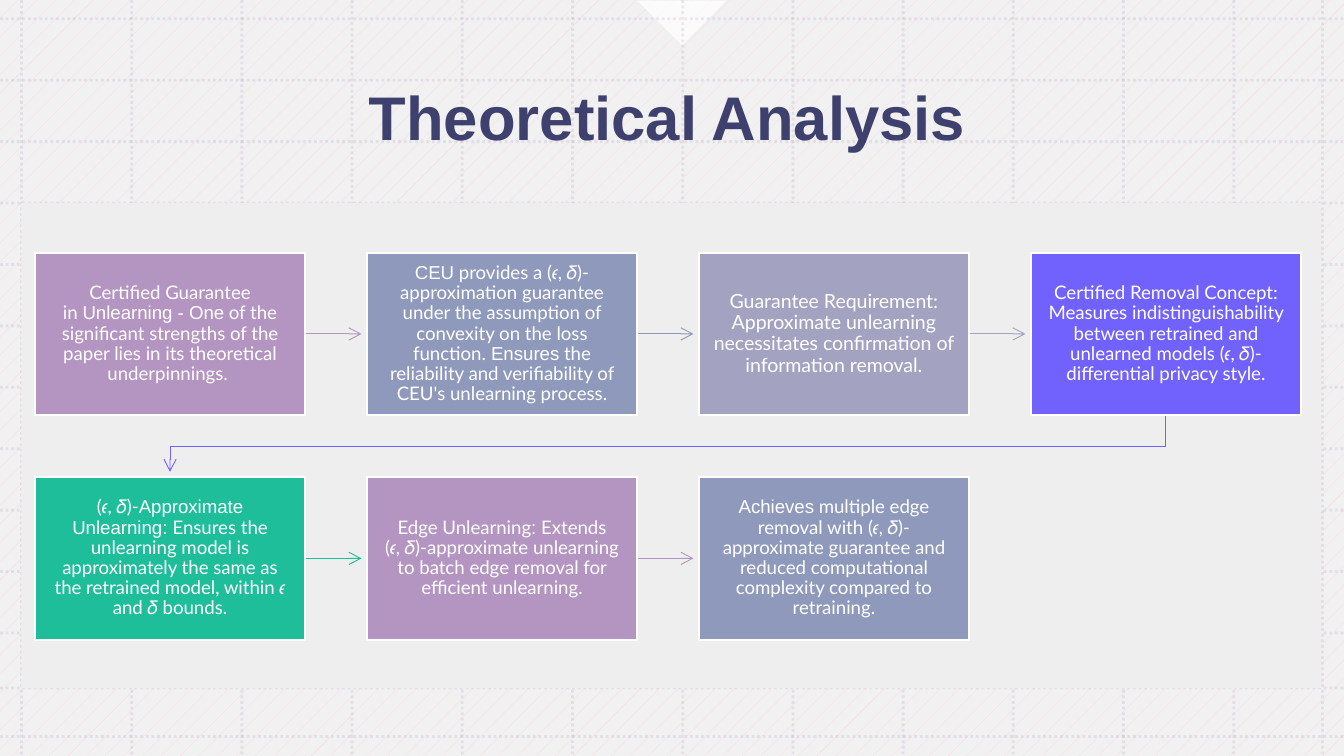
"""Builds the Theoretical Analysis slide: a seven-step flow on a dotted grid."""
from lxml import etree
from pptx import Presentation
from pptx import util as u
from pptx.dml.color import RGBColor
from pptx.enum import dml, shapes, text
from pptx.oxml.ns import qn

WIDTH, HEIGHT = 10, 5.625
MAUVE, BLUE, GREY = "B495C2", "8F99BB", "A3A3C1"
VIOLET, GREEN, WHITE, PALE = "7162FE", "1EBE9B", "FFFFFF", "EEEEEE"
TITLE = "Theoretical Analysis"
LATO, ARIAL = "Lato", "Arial"
HARD_SPACE = chr(160)

STEPS = [
    (MAUVE, 10, [
        ("Certified Guarantee in" + HARD_SPACE, LATO),
        ("Unlearning - One", ARIAL),
        (" of the significant strengths of the paper lies in its theoretical underpinnings."
         + HARD_SPACE, LATO)]),
    (BLUE, 10, [
        ("CEU", ARIAL),
        (" provides a (𝜖, 𝛿)-approximation guarantee under the assumption of convexity"
         " on the loss function.", LATO),
        (" Ensures", ARIAL),
        (" the reliability and verifiability of CEU's unlearning process.", LATO)]),
    (GREY, 10.5, [
        ("Guarantee Requirement: Approximate unlearning necessitates confirmation of"
         " information removal.", LATO)]),
    (VIOLET, 10, [
        ("Certified Removal Concept: Measures indistinguishability between retrained and"
         " unlearned models (𝜖, 𝛿)-differential privacy style.", LATO)]),
    (GREEN, 10, [
        ("(𝜖, 𝛿)-", LATO),
        ("Approximate Unlearning: ", ARIAL),
        ("Ensures the unlearning model is approximately the same as the retrained model,"
         " within 𝜖 and 𝛿 bounds.", LATO)]),
    (MAUVE, 10, [
        ("Edge Unlearning", LATO),
        (":", ARIAL),
        (" Extends (𝜖, 𝛿)-approximate unlearning to batch edge removal for efficient"
         " unlearning.", LATO)]),
    (BLUE, 10, [
        ("Achieves", ARIAL),
        (" multiple edge removal with (𝜖, 𝛿)-approximate guarantee and reduced"
         " computational complexity compared to retraining.", LATO)]),
]
COLUMNS = 4
LEFT, TOP = 0.26, 1.88
BOX_WIDTH, BOX_HEIGHT = 2.01, 1.21
STEP_X, STEP_Y = 2.47, 1.67
ARROW_GAP = 0.04

GRID_X = [0.16 + 0.82 * i for i in range(12)] + [9.84]
GRID_Y = [0.14 + 4.57 * i / 10 for i in range(11)] + [5.12, 5.48]


def paint(color_format, color):
    color_format.rgb = RGBColor.from_string(color)


def set_opacity(element, percent):
    for color in element.iter(qn("a:srgbClr")):
        etree.SubElement(color, qn("a:alpha"), val=str(percent * 1000))


def add_box(slide, preset, left, top, width, height, color, opacity=100):
    box = slide.shapes.add_shape(preset, *map(u.Inches, (left, top, width, height)))
    box.shadow.inherit = False
    box.fill.solid()
    paint(box.fill.fore_color, color)
    box.line.fill.background()
    if opacity < 100:
        set_opacity(box._element.spPr, opacity)
    return box


def add_line(slide, start, end, color, width):
    line = slide.shapes.add_connector(
        shapes.MSO_CONNECTOR.STRAIGHT, *map(u.Inches, (*start, *end)))
    etree.SubElement(line._element.spPr, qn("a:effectLst"))
    paint(line.line.color, color)
    line.line.width = u.Pt(width)
    return line


def add_arrowhead(line):
    outline = line._element.spPr.find(qn("a:ln"))
    etree.SubElement(outline, qn("a:tailEnd"), type="arrow")


def add_span(para, words, font, size, color):
    span = para.add_run()
    span.text = words
    span.font.name = font
    span.font.size = u.Pt(size)
    paint(span.font.color, color)
    return span


def add_backdrop(slide):
    rectangle = shapes.MSO_SHAPE.RECTANGLE
    pattern = add_box(slide, rectangle, 0, 0, WIDTH, HEIGHT, WHITE)
    pattern.fill.patterned()
    pattern.fill.pattern = dml.MSO_PATTERN.PERCENT_5
    paint(pattern.fill.fore_color, "FD8686")
    paint(pattern.fill.back_color, WHITE)
    add_box(slide, rectangle, 0, 0, WIDTH, HEIGHT, PALE, 80)
    notch = add_box(slide, shapes.MSO_SHAPE.RIGHT_TRIANGLE, 4.84, -0.23, 0.47, 0.47, WHITE, 75)
    notch.rotation = 315
    ends = [((x, 0), (x, HEIGHT)) for x in GRID_X] + [((0, y), (WIDTH, y)) for y in GRID_Y]
    for start, end in ends:
        line = add_line(slide, start, end, MAUVE, 1.5)
        line.line.dash_style = dml.MSO_LINE.ROUND_DOT
        set_opacity(line._element.spPr, 20)
    add_box(slide, rectangle, 0.16, 1.51, 9.67, 3.61, PALE)


def format_title(slide):
    title = slide.shapes.title
    title.left, title.top, title.width, title.height = map(u.Inches, (0.25, 0.28, 9.43, 1.23))
    title.text_frame.vertical_anchor = text.MSO_ANCHOR.MIDDLE
    para = title.text_frame.paragraphs[0]
    para.alignment = text.PP_ALIGN.CENTER
    para.line_spacing = 0.9
    span = add_span(para, TITLE, ARIAL, 33, "12154E")
    span.font.bold = True
    set_opacity(para._p, 80)
    slide.shapes._spTree.append(title._element)


def add_step(slide, left, top, color, size, spans):
    box = add_box(slide, shapes.MSO_SHAPE.RECTANGLE, left, top, BOX_WIDTH, BOX_HEIGHT, color)
    box.line.fill.solid()
    paint(box.line.color, WHITE)
    box.line.width = u.Pt(1)
    frame = box.text_frame
    frame.word_wrap = True
    frame.vertical_anchor = text.MSO_ANCHOR.MIDDLE
    frame.margin_left = frame.margin_right = u.Inches(0.1)
    frame.margin_top = frame.margin_bottom = u.Inches(0.1)
    para = frame.paragraphs[0]
    para.alignment = text.PP_ALIGN.CENTER
    para.line_spacing = 0.9
    for words, font in spans:
        add_span(para, words, font, size, WHITE)


def add_return_arrow(slide, start, end, color):
    middle = (start[1] + end[1]) / 2 + ARROW_GAP / 2
    points = [start, (start[0], middle), (end[0], middle), end]
    first, *rest = [tuple(map(u.Inches, point)) for point in points]
    builder = slide.shapes.build_freeform(*first)
    builder.add_line_segments(rest, close=False)
    route = builder.convert_to_shape()
    route.shadow.inherit = False
    route.fill.background()
    paint(route.line.color, color)
    route.line.width = u.Pt(0.5)
    add_arrowhead(route)


def add_flow(slide):
    for index, (color, size, spans) in enumerate(STEPS):
        row, column = divmod(index, COLUMNS)
        left, top = LEFT + column * STEP_X, TOP + row * STEP_Y
        right, bottom = left + BOX_WIDTH, top + BOX_HEIGHT
        if column == COLUMNS - 1:
            start = (left + BOX_WIDTH / 2, bottom)
            end = (LEFT + BOX_WIDTH / 2, top + STEP_Y - ARROW_GAP)
            add_return_arrow(slide, start, end, color)
        elif index < len(STEPS) - 1:
            middle = top + BOX_HEIGHT / 2
            end = (left + STEP_X - ARROW_GAP, middle)
            add_arrowhead(add_line(slide, (right, middle), end, color, 0.5))
        add_step(slide, left, top, color, size, spans)


def main():
    deck = Presentation()
    deck.slide_width, deck.slide_height = u.Inches(WIDTH), u.Inches(HEIGHT)
    slide = deck.slides.add_slide(deck.slide_layouts[5])
    add_backdrop(slide)
    format_title(slide)
    add_flow(slide)
    deck.save("out.pptx")


if __name__ == "__main__":
    main()
